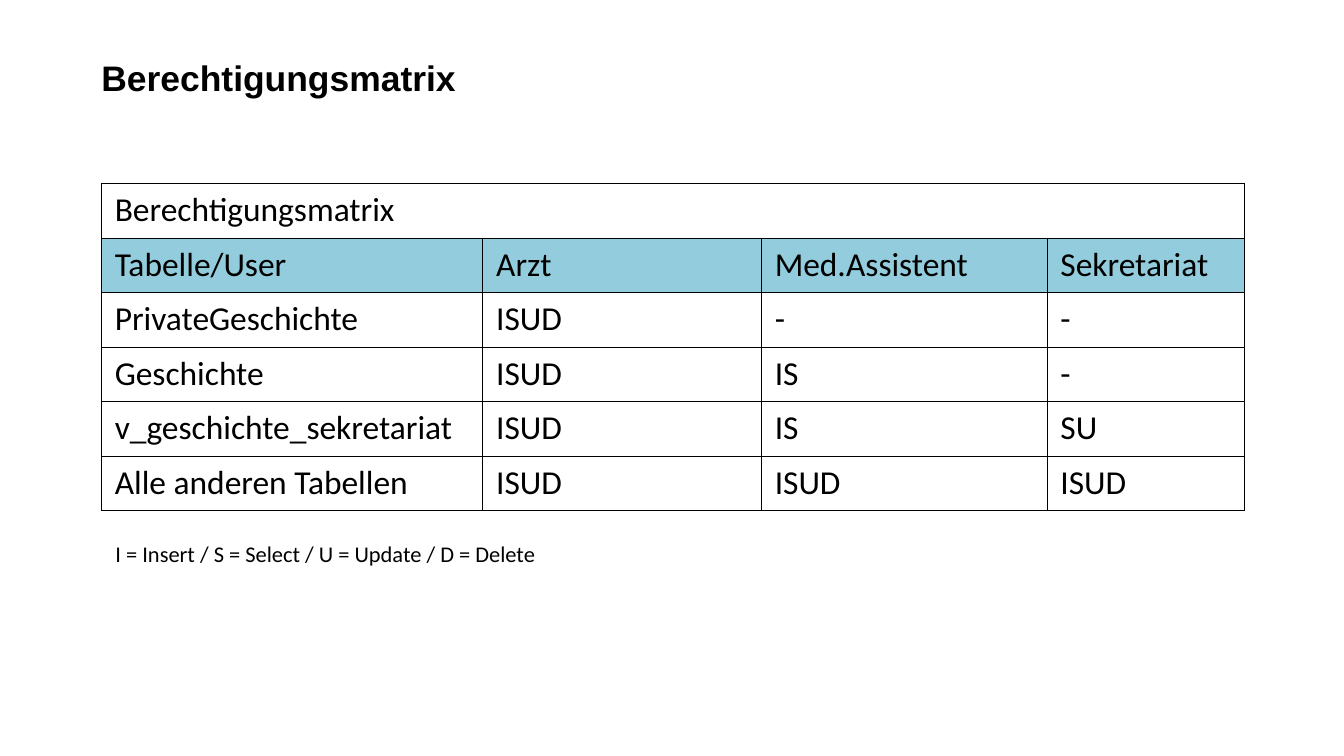
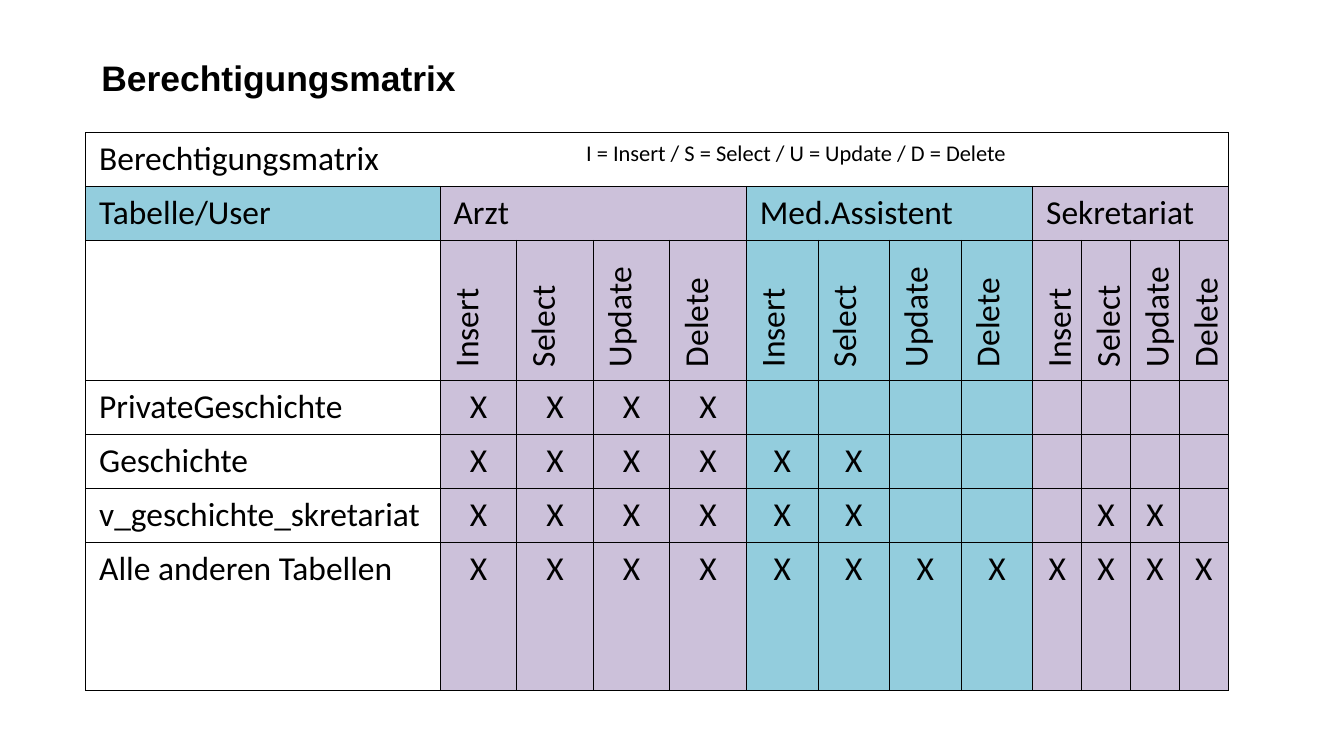
from dataclasses import dataclass

from lxml.etree import SubElement
from pptx import Presentation
from pptx.dml.color import RGBColor
from pptx.enum.text import MSO_ANCHOR, PP_ALIGN
from pptx.oxml.ns import qn
from pptx.util import Inches, Pt


@dataclass(frozen=True)
class Theme:
    black: RGBColor = RGBColor(0x00, 0x00, 0x00)
    blue: RGBColor = RGBColor(0x93, 0xCD, 0xDD)
    purple: RGBColor = RGBColor(0xCC, 0xC1, 0xDA)
    title_font: str = "Arial"
    body_font: str = "Calibri"
    title_size: float = 36
    table_size: float = 34
    legend_size: float = 22.8
    border_width: float = 1


theme = Theme()

TITLE = "Berechtigungsmatrix"
LEGEND = "I = Insert / S = Select / U = Update / D = Delete"
ACTIONS = ["Insert", "Select", "Update", "Delete"]
USERS = ["Arzt", "Med.Assistent", "Sekretariat"]
TABLES = ["PrivateGeschichte", "Geschichte", "v_geschichte_sekretariat", "Alle anderen Tabellen"]
RIGHTS = [
    ["ISUD", "-", "-"],
    ["ISUD", "IS", "-"],
    ["ISUD", "IS", "SU"],
    ["ISUD", "ISUD", "ISUD"],
]


def add_text(slide, text, left, top, width, height, font, size, bold=False, inset=(0.1, 0.05)):
    frame = slide.shapes.add_textbox(
        Inches(left), Inches(top), Inches(width), Inches(height)
    ).text_frame
    frame.word_wrap = True
    frame.margin_left = frame.margin_right = Inches(inset[0])
    frame.margin_top = frame.margin_bottom = Inches(inset[1])
    paragraph = frame.paragraphs[0]
    paragraph.text = text
    paragraph.font.name = font
    paragraph.font.size = Pt(size)
    paragraph.font.bold = bold
    paragraph.font.color.rgb = theme.black


def add_matrix(slide, left, top, widths, heights, rows, fills):
    """Add a bordered table; rows and fills are grids, and a fill of None leaves a cell clear."""
    table = slide.shapes.add_table(
        len(heights), len(widths), Inches(left), Inches(top),
        Inches(sum(widths)), Inches(sum(heights)),
    ).table
    table.first_row = table.horz_banding = False
    for column, width in zip(table.columns, widths):
        column.width = Inches(width)
    for row, height in zip(table.rows, heights):
        row.height = Inches(height)
    for row, texts, colors in zip(table.rows, rows, fills):
        for cell, text, color in zip(row.cells, texts, colors):
            properties = cell._tc.get_or_add_tcPr()
            for side in ("a:lnL", "a:lnR", "a:lnT", "a:lnB"):
                line = SubElement(properties, qn(side), w=str(Pt(theme.border_width)))
                line_fill = SubElement(line, qn("a:solidFill"))
                SubElement(line_fill, qn("a:srgbClr"), val=str(theme.black))
            if color is None:
                cell.fill.background()
            else:
                cell.fill.solid()
                cell.fill.fore_color.rgb = color
            cell.margin_left = cell.margin_right = Inches(0.19)
            cell.margin_top = cell.margin_bottom = Inches(0.09)
            cell.vertical_anchor = MSO_ANCHOR.TOP
            if text in ACTIONS:
                properties.set("vert", "vert270")
            paragraph = cell.text_frame.paragraphs[0]
            paragraph.text = text
            if text == "X":
                paragraph.alignment = PP_ALIGN.CENTER
            paragraph.font.name = theme.body_font
            paragraph.font.size = Pt(theme.table_size)
            paragraph.font.bold = False
            paragraph.font.color.rgb = theme.black
    table.cell(0, 0).merge(table.cell(0, len(widths) - 1))
    return table


presentation = Presentation()
presentation.slide_width = Inches(18.96)
presentation.slide_height = Inches(10.67)
slides = [presentation.slides.add_slide(presentation.slide_layouts[6]) for _ in range(2)]
compact_slide, detail_slide = slides
for slide in slides:
    add_text(slide, TITLE, 1.43, 0.79, 16.11, 0.63,
             theme.title_font, theme.title_size, bold=True, inset=(0, 0))

# Compact matrix: one column per user
compact_rows = [[TITLE, "", "", ""], ["Tabelle/User"] + USERS]
compact_rows += [[name] + codes for name, codes in zip(TABLES, RIGHTS)]
compact_fills = [[theme.blue if index == 1 else None] * 4 for index in range(len(compact_rows))]
add_matrix(compact_slide, 1.43, 2.59, [5.38, 3.93, 4.03, 2.78], [0.77] * 6,
           compact_rows, compact_fills)
add_text(compact_slide, LEGEND, 1.53, 7.57, 16.61, 0.48, theme.body_font, theme.legend_size)

# Detailed matrix: one column per user and action
group_size = len(ACTIONS)
user_columns = group_size * len(USERS)
detail_widths = [5] + [width for width in (1.08, 1.01, 0.69) for _ in ACTIONS]
detail_tables = ["v_geschichte_skretariat" if name.startswith("v_") else name for name in TABLES]
user_cells = [user if action == ACTIONS[0] else "" for user in USERS for action in ACTIONS]
detail_rows = [
    [TITLE] + [""] * user_columns,
    ["Tabelle/User"] + user_cells,
    [""] + ACTIONS * len(USERS),
]
for name, codes in zip(detail_tables, RIGHTS):
    marks = ["X" if action[0] in code else "" for code in codes for action in ACTIONS]
    detail_rows.append([name] + marks)

group_fills = [color for color in (theme.purple, theme.blue, theme.purple) for _ in ACTIONS]
detail_fills = [[None] * (user_columns + 1), [theme.blue] + group_fills]
detail_fills += [[None] + group_fills] * (len(detail_rows) - 2)
detail_table = add_matrix(detail_slide, 1.21, 1.87, detail_widths,
                          [0.76, 0.76, 1.98, 0.76, 0.76, 0.76, 2.1],
                          detail_rows, detail_fills)
for first in range(1, user_columns + 1, group_size):
    detail_table.cell(1, first).merge(detail_table.cell(1, first + group_size - 1))
add_text(detail_slide, LEGEND, 8.17, 1.91, 9, 0.48, theme.body_font, theme.legend_size)

presentation.save("out.pptx")
